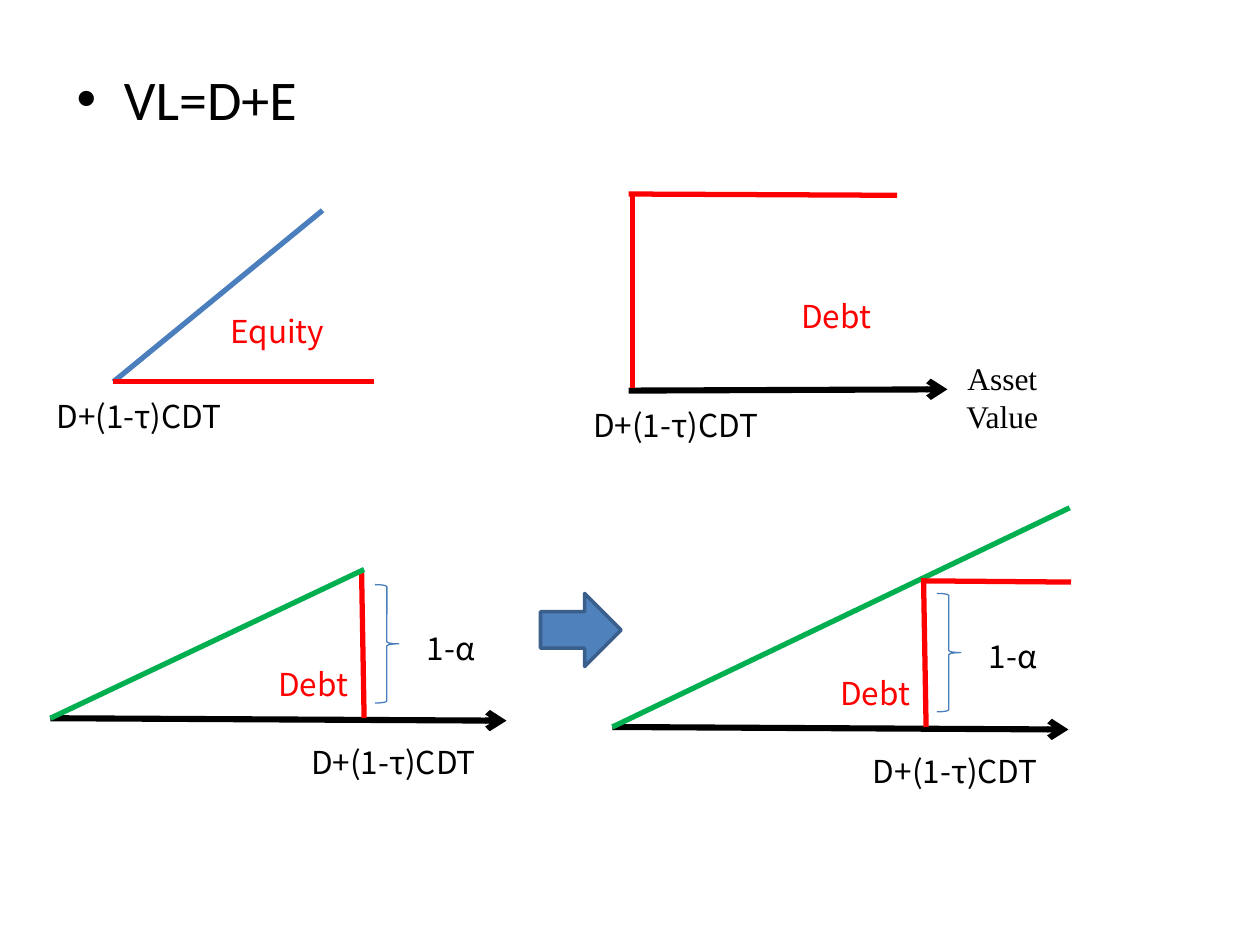
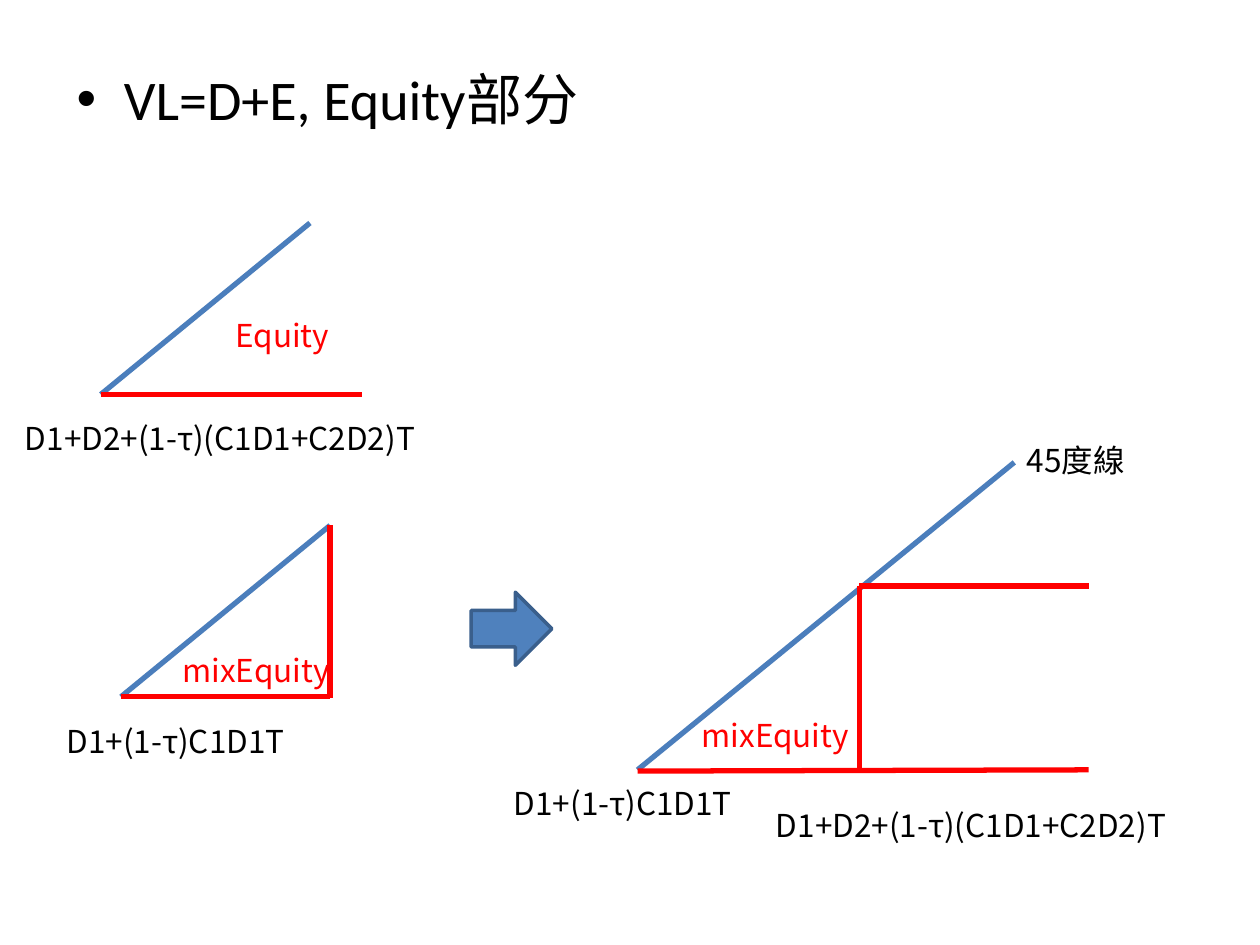
"""Build two slides of payoff diagrams for levered firm value."""
from lxml.etree import SubElement
from pptx import Presentation
from pptx.dml.color import RGBColor
from pptx.enum.shapes import MSO_CONNECTOR, MSO_SHAPE
from pptx.enum.text import MSO_AUTO_SIZE, PP_ALIGN
from pptx.oxml.ns import qn
from pptx.util import Inches, Pt

COLUMNS, ROWS = 100, 75
BLACK, RED, GREEN, BLUE = "000000", "FF0000", "00B050", "4B7EBC"
ARROW_FILL, ARROW_EDGE = "4F81BD", "3A5F8C"
LABEL_FONT, TITLE_FONT, AXIS_FONT = "Noto Sans CJK SC", "Calibri", "Times New Roman"
DEFAULT_LIMIT = "D+(1-τ)CDT"
FIRST_LIMIT = "D1+(1-τ)C1D1T"
TOTAL_LIMIT = "D1+D2+(1-τ)(C1D1+C2D2)T"


def color(value):
    return RGBColor.from_string(value)


class Board:
    def __init__(self):
        self.deck = Presentation()
        self.deck.slide_width, self.deck.slide_height = Inches(10), Inches(7.5)
        self.page = None

    def across(self, columns):
        return round(self.deck.slide_width * columns / COLUMNS)

    def down(self, rows):
        return round(self.deck.slide_height * rows / ROWS)

    def area(self, left, top, width, height):
        return self.across(left), self.down(top), self.across(width), self.down(height)

    def new_page(self, heading):
        self.page = self.deck.slides.add_slide(self.deck.slide_layouts[6])
        box = self.page.shapes.add_textbox(*self.area(5.1, 4.6, 90, 62.6))
        box.text_frame.word_wrap = True
        para = box.text_frame.paragraphs[0]
        properties = para._p.get_or_add_pPr()
        properties.set("marL", str(self.across(3.75)))
        properties.set("indent", str(-self.across(3.75)))
        SubElement(properties, qn("a:buFont"), typeface="Arial")
        SubElement(properties, qn("a:buChar"), char="•")
        self.span(para, heading, 32, TITLE_FONT, BLACK)

    def span(self, para, text, size, font, ink):
        span = para.add_run()
        span.text = text
        span.font.size, span.font.name = Pt(size), font
        span.font.color.rgb = color(ink)
        return span

    def label(self, text, left, top, width, ink=BLACK, font=LABEL_FONT, align=PP_ALIGN.LEFT):
        box = self.page.shapes.add_textbox(*self.area(left, top, width, 4))
        box.text_frame.word_wrap = True
        box.text_frame.auto_size = MSO_AUTO_SIZE.SHAPE_TO_FIT_TEXT
        para = box.text_frame.paragraphs[0]
        para.alignment = align
        span = self.span(para, text, 18, font, ink)
        SubElement(span._r.get_or_add_rPr(), qn("a:ea"), typeface=font)

    def line(self, start, end, ink=RED, weight=3, arrow=False):
        connector = self.page.shapes.add_connector(
            MSO_CONNECTOR.STRAIGHT, self.across(start[0]), self.down(start[1]),
            self.across(end[0]), self.down(end[1]))
        connector.line.color.rgb = color(ink)
        connector.line.width = Pt(weight)
        if arrow:
            SubElement(connector.line._get_or_add_ln(), qn("a:tailEnd"), type="arrow")
        SubElement(connector._element.spPr, qn("a:effectLst"))

    def axis(self, start, end):
        self.line(start, end, BLACK, 3.5, arrow=True)

    def shape(self, kind, left, top, width, height, edge, weight, fill=None):
        shape = self.page.shapes.add_shape(kind, *self.area(left, top, width, height))
        shape.shadow.inherit = False
        if fill:
            shape.fill.solid()
            shape.fill.fore_color.rgb = color(fill)
        else:
            shape.fill.background()
        shape.line.color.rgb = color(edge)
        shape.line.width = Pt(weight)

    def block_arrow(self, left, top):
        self.shape(MSO_SHAPE.RIGHT_ARROW, left, top, 6.4, 5.8, ARROW_EDGE, 2, ARROW_FILL)

    def equity_payoff(self, left, base, reach):
        self.line((left, base), (left + 16.6, base - 13.6), BLUE)
        self.line((left, base), (left + reach, base))

    def bankruptcy_payoff(self, left, base, slope_end):
        self.axis((left, base), (left + 36.2, base + 0.2))
        self.line((left + 24.7, base - 11.6), (left + 24.9, base))
        self.line((left, base), (left + slope_end[0], base - slope_end[1]), GREEN)
        self.shape(MSO_SHAPE.RIGHT_BRACE, left + 25.75, base - 10.6, 1.9, 9.4, BLUE, 0.75)
        self.label("1-α", left + 28.9, base - 7.6, 10)
        self.label("Debt", left + 17.1, base - 4.7, 11.8, RED)
        self.label(DEFAULT_LIMIT, left + 19.7, base + 1.5, 22.5)


def draw_value_page(board):
    board.new_page("VL=D+E")
    board.equity_payoff(9, 30.3, 20.7)
    board.label("Equity", 17.3, 24.3, 12.6, RED)
    board.label(DEFAULT_LIMIT, 3.5, 31, 22.5)

    board.axis((49.9, 31), (75.2, 30.9))
    board.label("Asset Value", 75.4, 28, 8.3, font=AXIS_FONT, align=PP_ALIGN.CENTER)
    board.line((50.2, 15.5), (50.2, 30.8))
    board.line((49.9, 15.4), (71.2, 15.5))
    board.label("Debt", 62.6, 23.1, 8.3, RED)
    board.label(DEFAULT_LIMIT, 46.1, 31.7, 22.9)

    board.bankruptcy_payoff(4, 57, (24.9, 11.8))
    board.bankruptcy_payoff(48.6, 57.7, (36.3, 17.4))
    board.line((73.1, 46.1), (85, 46.2))
    board.block_arrow(42.9, 47.1)


def draw_equity_page(board):
    board.new_page("VL=D+E, Equity部分")
    board.equity_payoff(8, 31.3, 20.7)
    board.label("Equity", 17.7, 24.6, 12.6, RED)
    board.label(TOTAL_LIMIT, 1, 32.8, 33.3)

    board.equity_payoff(9.6, 55.3, 16.6)
    board.line((26.2, 41.7), (26.2, 55.4))
    board.label("mixEquity", 13.5, 51.2, 14.8, RED)
    board.label(FIRST_LIMIT, 4.3, 56.8, 19.8)
    board.block_arrow(37.4, 47)

    board.line((50.6, 61.1), (80.5, 36.7), BLUE)
    board.line((50.6, 61.2), (86.4, 61.1))
    board.line((68.2, 46.5), (68.2, 61.2))
    board.line((68.2, 46.5), (86.4, 46.5))
    board.label("mixEquity", 54.7, 56.3, 16.5, RED)
    board.label("45度線", 80.5, 34.5, 12.6)
    board.label(FIRST_LIMIT, 39.8, 61.7, 19.8)
    board.label(TOTAL_LIMIT, 60.6, 63.5, 33.3)


def main():
    board = Board()
    draw_value_page(board)
    draw_equity_page(board)
    board.deck.save("out.pptx")


if __name__ == "__main__":
    main()
